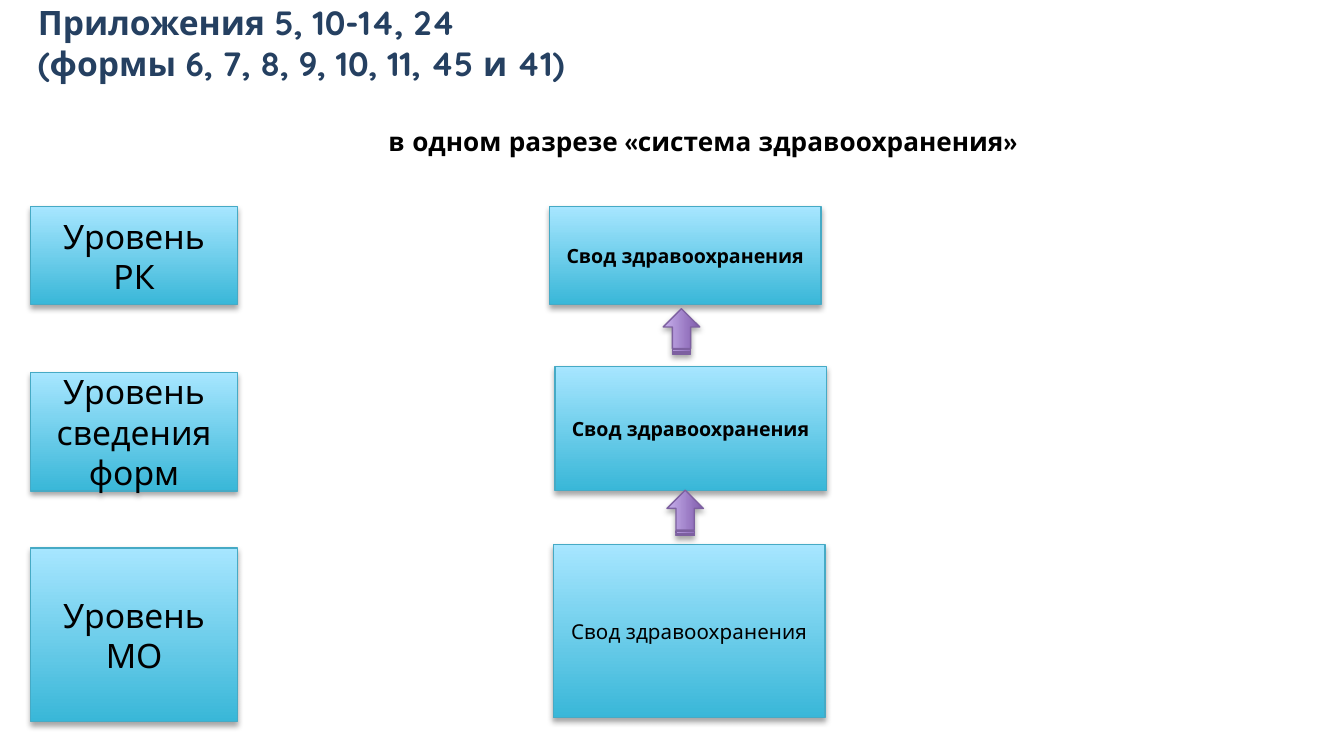
from lxml.etree import SubElement
from pptx import Presentation
from pptx.dml.color import RGBColor
from pptx.enum.shapes import MSO_SHAPE as Shape
from pptx.enum.text import MSO_ANCHOR as Anchor, MSO_AUTO_SIZE as AutoSize, PP_ALIGN as Align
from pptx.oxml.ns import qn
from pptx.util import Cm, Pt

FONT = "Quicksand"
NAVY = RGBColor(0x25, 0x40, 0x61)
BLACK = RGBColor(0x00, 0x00, 0x00)
BLUE_DARK = RGBColor(0x39, 0xB7, 0xD8)
BLUE_LIGHT = RGBColor(0xA7, 0xE6, 0xFF)
BLUE_LINE = RGBColor(0x46, 0xAA, 0xC5)
PURPLE_DARK = RGBColor(0x7F, 0x5B, 0xAB)
PURPLE_LIGHT = RGBColor(0xC8, 0xB0, 0xED)
PURPLE_LINE = RGBColor(0x7D, 0x60, 0xA0)

SUMMARY = "Свод здравоохранения"
LEVEL_LEFT, LEVEL_WIDTH = 0.58, 3.91
SUMMARY_WIDTH = 5.13

# Level name, its top and height; summary left, top, height, size and bold
ROWS = [
    ("Уровень РК", 3.91, 1.85, 10.39, 3.91, 1.85, 10.5, True),
    ("Уровень сведения форм", 7.04, 2.24, 10.49, 6.93, 2.34, 10.5, True),
    ("Уровень МО", 10.36, 3.28, 10.46, 10.29, 3.28, 11, False),
]
ARROWS = [(12.45, 5.92), (12.52, 9.35)]


def write(frame, text, size, color=BLACK, bold=False, align=Align.CENTER):
    """Fill a text frame with one formatted paragraph."""
    frame.word_wrap = True
    paragraph = frame.paragraphs[0]
    paragraph.text = text
    paragraph.alignment = align
    for run in paragraph.runs:
        run.font.name = FONT
        run.font.size = Pt(size)
        run.font.bold = bold
        run.font.color.rgb = color


def add_shadow(shape):
    """Give a shape a soft shadow that falls straight down."""
    shape.shadow.inherit = False
    effects = shape._element.spPr.find(qn("a:effectLst"))
    shadow = SubElement(effects, qn("a:outerShdw"), blurRad=str(Pt(3.1)),
                        dist=str(Pt(1.8)), dir="5400000", rotWithShape="0")
    black = SubElement(shadow, qn("a:srgbClr"), val="000000")
    SubElement(black, qn("a:alpha"), val="35000")


def add_gradient_shape(slide, kind, left, top, width, height, dark, light, line):
    shape = slide.shapes.add_shape(kind, Cm(left), Cm(top), Cm(width), Cm(height))
    shape.fill.gradient()
    shape.fill.gradient_angle = 90
    for stop, color in zip(shape.fill.gradient_stops, (dark, light)):
        stop.color.rgb = color
    shape.line.color.rgb = line
    shape.line.width = Pt(0.75)
    add_shadow(shape)
    return shape


def add_box(slide, text, left, top, width, height, size, bold=False):
    box = add_gradient_shape(slide, Shape.RECTANGLE, left, top, width, height,
                             BLUE_DARK, BLUE_LIGHT, BLUE_LINE)
    box.text_frame.vertical_anchor = Anchor.MIDDLE
    write(box.text_frame, text, size, bold=bold)


def add_up_arrow(slide, left, top):
    arrow = add_gradient_shape(slide, Shape.STRIPED_RIGHT_ARROW, left, top, 0.86, 0.69,
                               PURPLE_DARK, PURPLE_LIGHT, PURPLE_LINE)
    arrow.rotation = 270


def set_title(slide, text):
    title = slide.shapes.title
    title.left, title.top, title.width, title.height = Cm(0.46), Cm(0.13), Cm(17.15), Cm(1.35)
    title.text_frame.auto_size = AutoSize.NONE
    title.text_frame.vertical_anchor = Anchor.MIDDLE
    write(title.text_frame, text, 18, NAVY, True, Align.LEFT)


def add_caption(slide, text):
    caption = slide.shapes.add_textbox(Cm(6.93), Cm(2.24), Cm(12.7), Cm(0.86))
    caption.text_frame.auto_size = AutoSize.SHAPE_TO_FIT_TEXT
    write(caption.text_frame, text, 14, bold=True)


def main():
    deck = Presentation()
    deck.slide_width, deck.slide_height = Cm(25.4), Cm(14.29)
    slide = deck.slides.add_slide(deck.slide_layouts[5])

    # Headings
    set_title(slide, "Приложения 5, 10-14, 24\n(формы 6, 7, 8, 9, 10, 11, 45 и 41)")
    add_caption(slide, "в одном разрезе «система здравоохранения»")

    # Levels and their summaries
    for level, level_top, level_height, left, top, height, size, bold in ROWS:
        add_box(slide, level, LEVEL_LEFT, level_top, LEVEL_WIDTH, level_height, 18)
        add_box(slide, SUMMARY, left, top, SUMMARY_WIDTH, height, size, bold)

    # Arrows from each summary to the one above
    for left, top in ARROWS:
        add_up_arrow(slide, left, top)

    deck.save("out.pptx")


if __name__ == "__main__":
    main()
